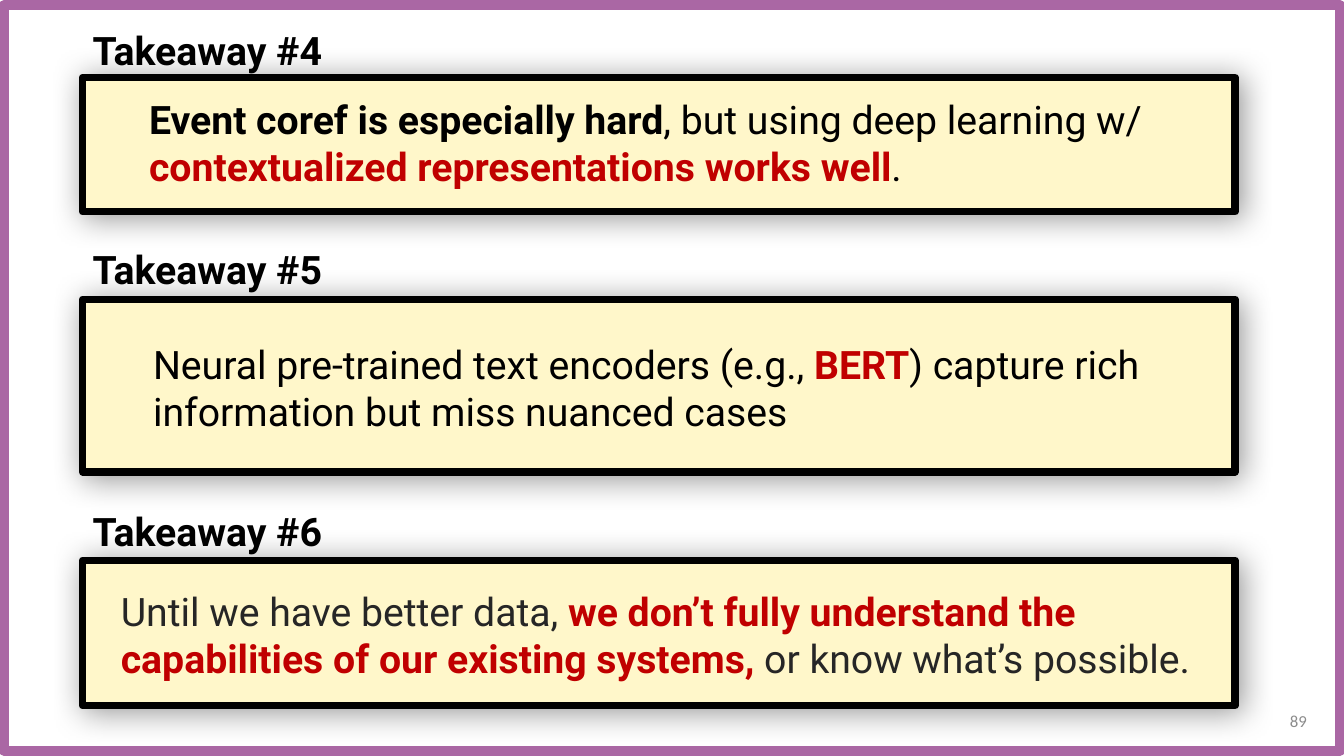
from lxml import etree
from pptx import Presentation
from pptx import util as u
from pptx.dml.color import RGBColor
from pptx.enum import shapes, text
from pptx.oxml.ns import qn

COLORS = {
    "white": "FFFFFF", "frame": "AA67A4", "cream": "FFF7CA", "black": "000000",
    "dark": "262626", "red": "C00000", "gray": "8C8C8C",
}


class TakeawaySlide:
    """Holds the style and the current slide."""
    font = "Roboto"
    size = 28

    def __init__(self, slide):
        self.slide = slide

    def color(self, name):
        return RGBColor.from_string(COLORS[name])

    def panel(self, place, fill, line, width):
        panel = self.slide.shapes.add_shape(
            shapes.MSO_SHAPE.RECTANGLE, *map(u.Inches, place))
        panel.fill.solid()
        panel.fill.fore_color.rgb = self.color(fill)
        panel.line.color.rgb = self.color(line)
        panel.line.width = u.Pt(width)
        panel.shadow.inherit = False
        return panel

    def soft_shadow(self, panel):
        effects = panel._element.spPr.find(qn("a:effectLst"))
        shadow = etree.SubElement(
            effects, qn("a:outerShdw"), blurRad=str(u.Pt(22)), dist=str(u.Pt(3)),
            dir=str(45 * 60000), algn="ctr", rotWithShape="0")
        tint = etree.SubElement(shadow, qn("a:srgbClr"), val=COLORS["black"])
        etree.SubElement(tint, qn("a:alpha"), val="40000")

    def words(self, place, parts, font=None, size=None, align=None, grow=True):
        """Write one paragraph from (wording, colour, bold) parts."""
        frame = self.slide.shapes.add_textbox(*map(u.Inches, place)).text_frame
        frame.word_wrap = True
        frame.vertical_anchor = text.MSO_ANCHOR.MIDDLE
        if grow:
            frame.auto_size = text.MSO_AUTO_SIZE.SHAPE_TO_FIT_TEXT
        paragraph = frame.paragraphs[0]
        paragraph.alignment = align
        for wording, color, bold in parts:
            run = paragraph.add_run()
            run.text = wording
            run.font.name = font or self.font
            run.font.size = u.Pt(size or self.size)
            run.font.bold = bold
            run.font.color.rgb = self.color(color)

    def takeaway(self, number, heading_top, panel_top, panel_height, body_place, body):
        panel = self.panel((0.82, panel_top, 11.43, panel_height), "cream", "black", 5.5)
        self.soft_shadow(panel)
        self.words((0.82, heading_top, 2.54, 0.57),
                   [(f"Takeaway #{number}", "black", True)])
        self.words(body_place, body)


# Heading top, panel top, panel height, body place, body parts
TAKEAWAYS = {
    4: (0.21, 0.77, 1.33, (1.38, 0.89, 10.58, 1.04), [
        ("Event coref is especially hard", "black", True),
        (", but using deep learning w/ ", "black", False),
        ("contextualized representations works well", "red", True),
        (".", "black", False)]),
    5: (2.38, 2.97, 1.71, (1.42, 3.32, 10.24, 1.04), [
        ("Neural pre-trained text encoders (e.g., ", "black", False),
        ("BERT", "red", True),
        (") capture rich information but miss nuanced cases", "black", False)]),
    6: (4.98, 5.56, 1.44, (1.1, 5.77, 10.88, 1.04), [
        ("Until we have better data, ", "dark", False),
        ("we don’t fully understand the capabilities of our existing systems,",
         "red", True),
        (" or know what’s possible.", "dark", False)]),
}


def main():
    deck = Presentation()
    deck.slide_width, deck.slide_height = u.Inches(13.33), u.Inches(7.5)
    page = TakeawaySlide(deck.slides.add_slide(deck.slide_layouts[6]))

    # Frame and page number
    page.panel((0.04, 0.05, 13.25, 7.4), "white", "frame", 7)
    page.words((10.06, 6.95, 3, 0.4), [("89", "gray", False)], font="Calibri",
               size=12, align=text.PP_ALIGN.RIGHT, grow=False)

    # Takeaways
    for number, details in TAKEAWAYS.items():
        page.takeaway(number, *details)

    deck.save("out.pptx")


if __name__ == "__main__":
    main()
